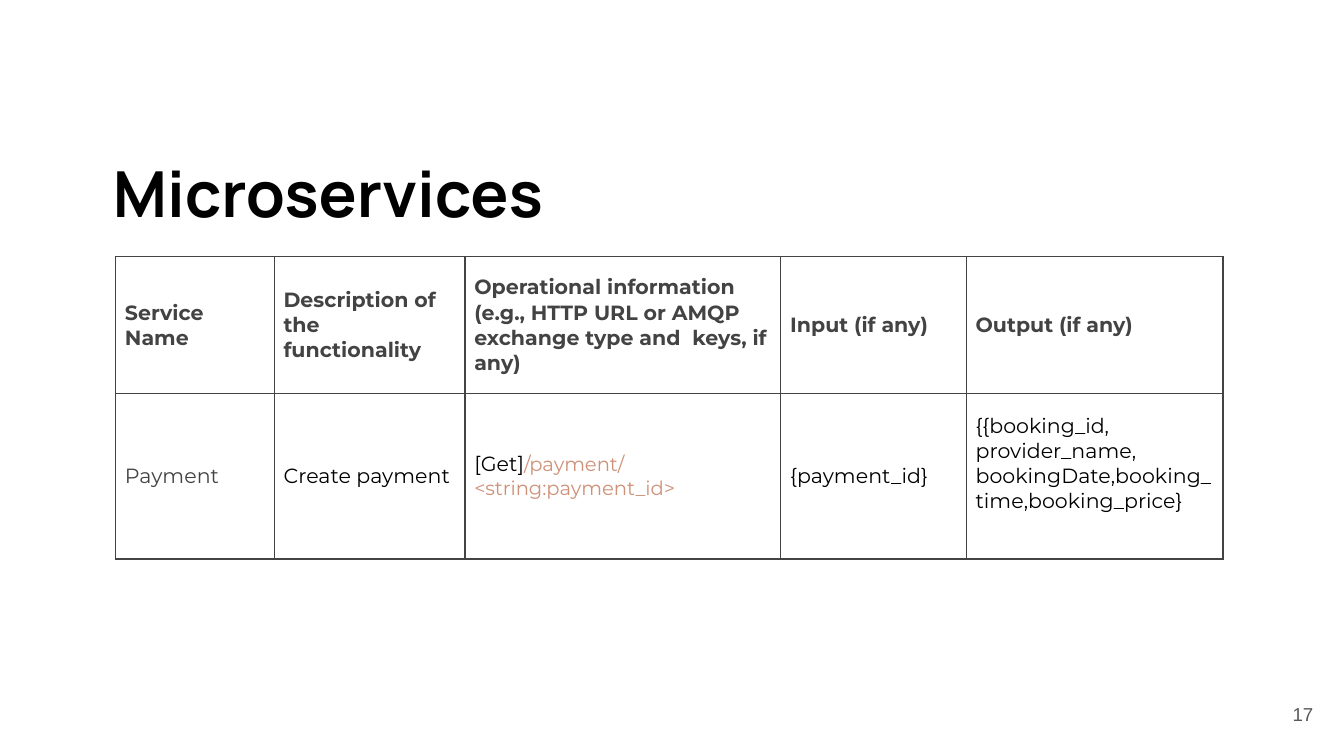
"""Build the Microservices slide with its payment service table."""
import lxml.etree
import pptx
import pptx.dml.color
import pptx.enum.text
import pptx.oxml.ns
import pptx.util

Inches = pptx.util.Inches
Pt = pptx.util.Pt
Anchor = pptx.enum.text.MSO_ANCHOR
Align = pptx.enum.text.PP_ALIGN

TITLE = "Microservices"
PAGE_NUMBER = "17"
HEADERS = [
    "Service Name",
    "Description of the functionality",
    "Operational information (e.g., HTTP URL or AMQP exchange type and  keys, if any)",
    "Input (if any)",
    "Output (if any)",
]
SERVICE = [
    [("Payment", "muted")],
    [("Create payment", "cell")],
    [("[Get]", "cell"), ("/payment/<string:payment_id>", "route")],
    [("{payment_id}", "cell")],
    [("{{booking_id, provider_name, bookingDate,booking_time,booking_price}", "cell")],
]
PAGE_WIDTH = 10
PAGE_HEIGHT = PAGE_WIDTH * 9 / 16
COLUMN_WIDTHS = [1.18, 1.42, 2.35, 1.38, 1.91]
ROW_HEIGHTS = [1.02, 1.23]
OUTPUT_LIFT = 0.19

THEME = {
    "title": ("Manrope", 34, "000000", True),
    "header": ("Montserrat", 11, "434343", True),
    "muted": ("Montserrat", 11, "434343", False),
    "cell": ("Montserrat", 11, "000000", False),
    "route": ("Montserrat", 10.5, "CE9178", False),
    "number": ("Arial", 10, "595959", False),
    "border": ("434343", 0.75),
}


def style_font(font, role):
    """Apply a theme text role to a font."""
    font.name, size, color, font.bold = THEME[role]
    font.size = Pt(size)
    font.color.rgb = pptx.dml.color.RGBColor.from_string(color)


def place(box, left, top, width, height):
    """Set a box's position, size and margins."""
    box.left, box.top = Inches(left), Inches(top)
    box.width, box.height = Inches(width), Inches(height)
    frame = box.text_frame
    frame.word_wrap = True
    frame.auto_size = pptx.enum.text.MSO_AUTO_SIZE.NONE
    frame.margin_left = frame.margin_right = Inches(0.1)
    frame.margin_top = frame.margin_bottom = Inches(0.1)


def write(box, text, role, align, anchor):
    """Fill a box with one styled paragraph."""
    box.text_frame.text = text
    box.text_frame.vertical_anchor = anchor
    para = box.text_frame.paragraphs[0]
    para.alignment = align
    style_font(para.font, role)


def add_borders(cell):
    """Draw the theme border on all four sides of a cell."""
    color, width = THEME["border"]
    name = pptx.oxml.ns.qn
    properties = cell._tc.get_or_add_tcPr()
    for index, side in enumerate(("a:lnL", "a:lnR", "a:lnT", "a:lnB")):
        line = lxml.etree.Element(name(side), w=str(Pt(width)))
        fill = lxml.etree.SubElement(line, name("a:solidFill"))
        lxml.etree.SubElement(fill, name("a:srgbClr"), val=color)
        properties.insert(index, line)


def fill_cell(cell, spans):
    """Write styled spans into a bordered, unfilled cell."""
    cell.vertical_anchor = Anchor.MIDDLE
    cell.margin_left = cell.margin_right = Inches(0.07)
    cell.margin_top = cell.margin_bottom = 0
    cell.fill.background()
    add_borders(cell)
    para = cell.text_frame.paragraphs[0]
    style_font(para.font, spans[0][1])
    for text, role in spans:
        span = para.add_run()
        span.text = text
        if role != spans[0][1]:
            style_font(span.font, role)


def add_services(page):
    """Add the service table."""
    rows = [[[(text, "header")] for text in HEADERS], SERVICE]
    table = page.shapes.add_table(
        len(rows), len(HEADERS), Inches(0.86), Inches(1.91),
        Inches(sum(COLUMN_WIDTHS)), Inches(sum(ROW_HEIGHTS)),
    ).table
    table.first_row = table.horz_banding = False
    for column, width in zip(table.columns, COLUMN_WIDTHS):
        column.width = Inches(width)
    for row, height, contents in zip(table.rows, ROW_HEIGHTS, rows):
        row.height = Inches(height)
        for cell, spans in zip(row.cells, contents):
            fill_cell(cell, spans)
    table.cell(1, len(HEADERS) - 1).margin_bottom = Inches(OUTPUT_LIFT)


def main():
    """Build and save the deck."""
    deck = pptx.Presentation()
    deck.slide_width, deck.slide_height = Inches(PAGE_WIDTH), Inches(PAGE_HEIGHT)
    page = deck.slides.add_slide(deck.slide_layouts[5])
    title = page.shapes.title
    place(title, 0.74, 1.05, 8.36, 0.92)
    write(title, TITLE, "title", Align.LEFT, Anchor.TOP)
    add_services(page)
    number = page.shapes.add_textbox(0, 0, 0, 0)
    place(number, 9.27, 5.1, 0.6, 0.43)
    write(number, PAGE_NUMBER, "number", Align.RIGHT, Anchor.MIDDLE)
    deck.save("out.pptx")


if __name__ == "__main__":
    main()
